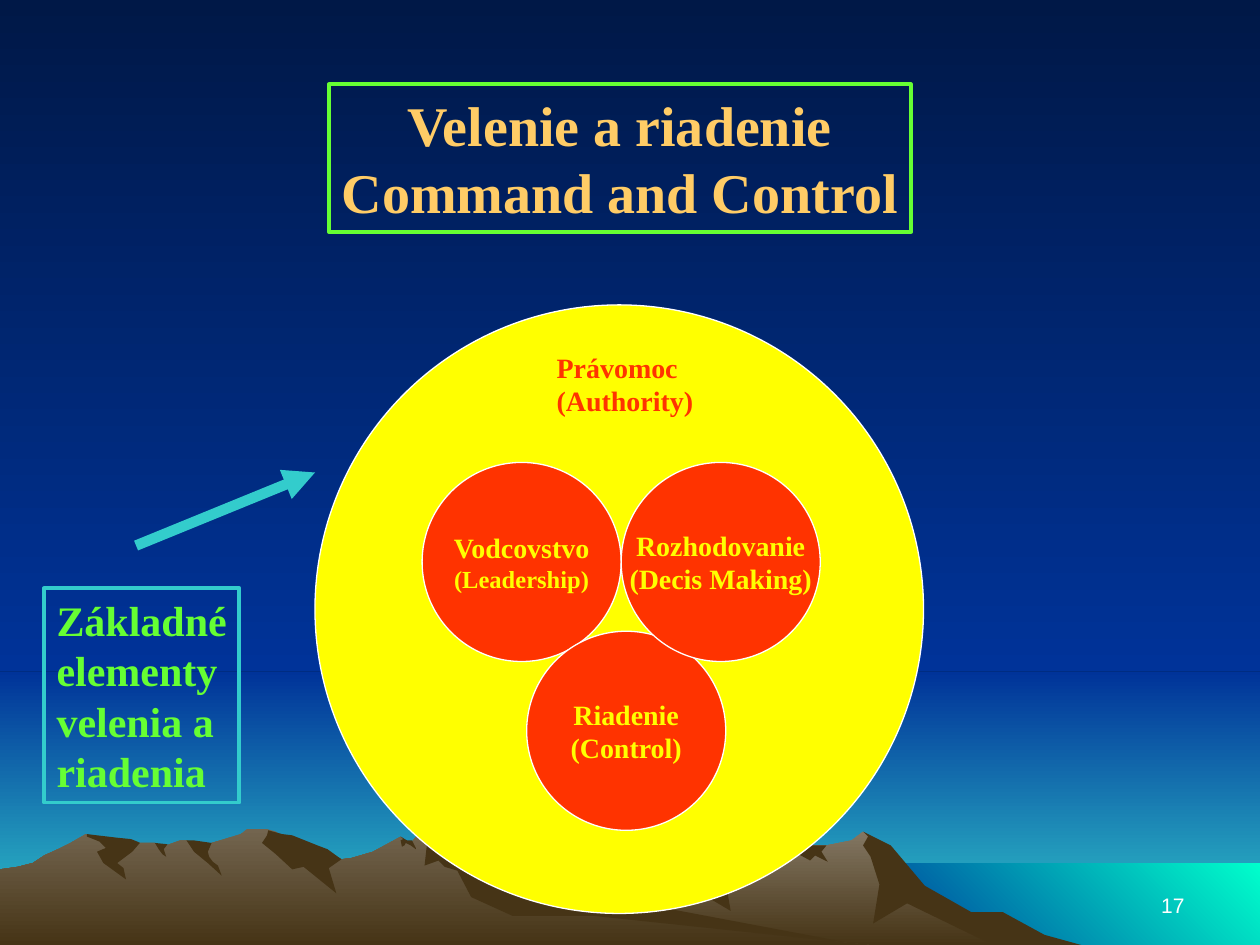
from lxml import etree
from pptx import Presentation
from pptx import util as u
from pptx.dml.color import RGBColor
from pptx.enum import shapes, text
from pptx.oxml import ns

PX = 9144
WIDTH, HEIGHT = 1000, 750
SERIF, SANS = "Times New Roman", "Arial"

NIGHT = RGBColor(0x00, 0x18, 0x47)
BLUE = RGBColor(0x00, 0x33, 0x99)
TEAL = RGBColor(0x33, 0xCC, 0xCC)
AQUA = RGBColor(0x00, 0xFF, 0xCC)
STONE = RGBColor(0x84, 0x78, 0x64)
EARTH = RGBColor(0x73, 0x65, 0x4F)
BROWN = RGBColor(0x46, 0x34, 0x16)
GOLD = RGBColor(0xFF, 0xCC, 0x66)
GREEN = RGBColor(0x66, 0xFF, 0x33)
YELLOW = RGBColor(0xFF, 0xFF, 0x00)
RED = RGBColor(0xFF, 0x33, 0x00)
WHITE = RGBColor(0xFF, 0xFF, 0xFF)

LEFT, CENTER, RIGHT = text.PP_ALIGN.LEFT, text.PP_ALIGN.CENTER, text.PP_ALIGN.RIGHT
TOP, MIDDLE, BOTTOM = text.MSO_ANCHOR.TOP, text.MSO_ANCHOR.MIDDLE, text.MSO_ANCHOR.BOTTOM

RIGHT_HILL = [
    (802, 740), (778, 727), (764, 723), (723, 698), (702, 671), (685, 660), (676, 667),
    (656, 671), (629, 671), (613, 681), (566, 697), (536, 690), (529, 676), (526, 673),
    (509, 669), (497, 671), (486, 673), (474, 661), (471, 658), (465, 658), (450, 664),
    (438, 671), (430, 671), (418, 675), (394, 685), (355, 698), (327, 709), (277, 739),
    (258, 750), (821, 750)]
RIGHT_SHADES = [
    [(796, 724), (771, 724), (734, 703), (707, 671), (685, 660), (689, 664), (685, 671),
     (691, 680), (698, 702), (693, 733), (720, 717), (788, 750), (858, 750), (829, 742)],
    [(471, 658), (474, 662), (469, 664), (468, 671), (472, 680), (473, 690), (465, 727),
     (474, 704), (479, 700), (487, 683), (490, 682), (490, 676), (497, 671), (493, 670)],
    [(529, 676), (528, 678), (526, 683), (536, 697), (580, 723), (576, 700), (592, 689),
     (570, 692), (542, 685)],
    [(650, 671), (630, 671), (631, 675), (630, 676), (643, 683), (647, 679), (657, 684),
     (652, 676), (656, 671)],
    [(433, 677), (432, 673), (434, 671), (439, 670), (437, 673), (439, 679), (434, 684)]]
LEFT_RANGE = [
    (690, 750), (667, 748), (432, 712), (354, 665), (331, 663), (327, 668), (323, 668),
    (318, 664), (296, 676), (279, 681), (271, 682), (260, 676), (236, 681), (223, 663),
    (219, 660), (212, 658), (196, 658), (191, 662), (178, 666), (168, 669), (160, 671),
    (148, 667), (143, 667), (132, 671), (128, 671), (123, 669), (111, 669), (94, 671),
    (68, 662), (56, 669), (46, 674), (35, 679), (26, 685), (14, 688), (0, 690), (0, 750)]
LEFT_SHADES = [
    [(212, 663), (208, 669), (219, 678), (232, 690), (241, 688), (267, 709), (261, 689),
     (271, 682), (260, 674), (252, 671), (232, 663), (224, 662), (213, 659)],
    [(370, 668), (361, 666), (354, 665), (344, 665), (339, 669), (337, 687), (348, 683),
     (353, 688), (363, 691), (374, 712), (407, 727), (472, 727), (690, 750), (683, 750),
     (455, 707), (427, 692), (411, 684), (401, 681), (386, 675)],
    [(318, 667), (320, 666), (318, 664), (323, 667), (327, 667), (330, 673), (330, 674),
     (326, 671), (322, 669), (321, 671), (319, 672)],
    [(154, 667), (161, 668), (168, 669), (165, 676), (166, 680), (169, 684), (173, 687),
     (176, 695), (165, 685), (154, 676), (148, 667)],
    [(133, 670), (130, 674), (132, 680), (129, 678), (126, 674), (123, 669)],
    [(109, 668), (111, 669), (105, 676), (93, 685), (98, 689), (100, 698), (82, 685),
     (77, 676), (84, 673), (79, 668), (69, 664), (69, 662), (77, 663), (94, 665),
     (104, 666)]]


def blend(fill, start, end, angle=270):
    """Fill with a two-colour gradient."""
    fill.gradient()
    fill.gradient_angle = angle
    for stop, color in zip(fill.gradient_stops, (start, end)):
        stop.color.rgb = color


def place(shape, box):
    """Move a shape to a box of left, top, width and height in px."""
    shape.left, shape.top, shape.width, shape.height = (n * PX for n in box)


def preset(page, kind, box):
    """Add a preset shape without shadow."""
    shape = page.shapes.add_shape(kind, *(n * PX for n in box))
    shape.shadow.inherit = False
    return shape


def outline(shape, color, points):
    """Give a shape a plain line."""
    shape.line.color.rgb = color
    shape.line.width = u.Pt(points)


def write(shape, lines, color, align=LEFT, anchor=TOP, font=SERIF, bold=True, wrap=False):
    """Write (words, size) lines as paragraphs of a shape."""
    frame = shape.text_frame
    frame.word_wrap = wrap
    frame.auto_size = text.MSO_AUTO_SIZE.NONE
    frame.vertical_anchor = anchor
    for index, (words, size) in enumerate(lines):
        para = frame.add_paragraph() if index else frame.paragraphs[0]
        para.alignment = align
        span = para.add_run()
        span.text = words
        span.font.name, span.font.size, span.font.bold = font, u.Pt(size), bold
        span.font.color.rgb = color


def label(page, box, *args, **kwargs):
    """Add a text box with its lines."""
    write(page.shapes.add_textbox(*(n * PX for n in box)), *args, **kwargs)


def outcrop(page, points, start, end):
    """Draw one rock outline, shaded from start to end."""
    builder = page.shapes.build_freeform(*points[0], scale=PX)
    builder.add_line_segments(points[1:])
    rock = builder.convert_to_shape()
    rock.shadow.inherit = False
    rock.line.fill.background()
    if start == end:
        rock.fill.solid()
        rock.fill.fore_color.rgb = start
    else:
        blend(rock.fill, start, end)


def scenery(page, horizon, shore):
    """Paint sky, haze, sea and mountains."""
    blend(page.background.fill, NIGHT, BLUE)
    left, top = shore
    bands = [((0, horizon, WIDTH, HEIGHT - horizon), BLUE, TEAL, 270),
             ((0, 0, WIDTH, horizon), NIGHT, BLUE, 270),
             ((left, top, WIDTH - left, HEIGHT - top), BLUE, AQUA, 45)]
    for box, start, end, angle in bands:
        band = preset(page, shapes.MSO_SHAPE.RECTANGLE, box)
        band.line.fill.background()
        blend(band.fill, start, end, angle)
    for hill, top_color, shades in ((RIGHT_HILL, STONE, RIGHT_SHADES),
                                    (LEFT_RANGE, EARTH, LEFT_SHADES)):
        outcrop(page, hill, top_color, BROWN)
        for shade in shades:
            outcrop(page, shade, BROWN, BROWN)


def heading(page, box):
    """Place the framed title."""
    title = page.shapes.title
    place(title, box)
    outline(title, GREEN, 2.25)
    write(title, [("Velenie a riadenie", 32), ("Command and Control", 32)], GOLD, CENTER)


def disc(page, box, color):
    """Add a filled circle with a thin white line."""
    circle = preset(page, shapes.MSO_SHAPE.OVAL, box)
    circle.fill.solid()
    circle.fill.fore_color.rgb = color
    outline(circle, WHITE, 0.75)
    return circle


def authority(page, box):
    """Draw the authority circle and the three elements inside it."""
    left, top, _, _ = box
    disc(page, box, YELLOW)
    size = 158
    elements = [(85, 125, [("Vodcovstvo", 16), ("(Leadership)", 14)]),
                (168, 259, [("Riadenie", 16), ("(Control)", 16)]),
                (85 + size, 125, [("Rozhodovanie", 16), ("(Decis Making)", 16)])]
    for x, y, lines in elements:
        circle = disc(page, (left + x, top + y, size, size), RED)
        write(circle, lines, YELLOW, CENTER, MIDDLE)
    label(page, (left + 182, top + 31, 128, 64),
          [("Právomoc", 16), ("(Authority)", 16)], RED)


def callout(page, box):
    """Place the framed caption and its arrow to the circle."""
    left, top, _, _ = box
    frame = preset(page, shapes.MSO_SHAPE.RECTANGLE, box)
    frame.fill.background()
    outline(frame, TEAL, 2.25)
    words = ("Základné", "elementy", "velenia a", "riadenia")
    write(frame, [(word, 24) for word in words], GREEN)
    ends = (left + 73, top - 34, left + 215, top - 92)
    arrow = page.shapes.add_connector(shapes.MSO_CONNECTOR.STRAIGHT, *(n * PX for n in ends))
    outline(arrow, TEAL, 6)
    etree.SubElement(arrow.line._get_or_add_ln(), ns.qn("a:tailEnd"), type="triangle")
    etree.SubElement(arrow._element.spPr, ns.qn("a:effectLst"))


def main():
    """Build the slide and save it."""
    deck = Presentation()
    deck.slide_width, deck.slide_height = WIDTH * PX, HEIGHT * PX
    page = deck.slides.add_slide(deck.slide_layouts[5])
    scenery(page, 533, (683, 685))
    heading(page, (261, 67, 462, 117))
    tree = page.shapes.title._element.getparent()
    tree.append(page.shapes.title._element)
    authority(page, (250, 242, 483, 483))
    callout(page, (35, 467, 155, 170))
    label(page, (717, 683, 233, 50), [("17", 12)], WHITE, RIGHT, BOTTOM, SANS, False, True)
    deck.save("out.pptx")


if __name__ == "__main__":
    main()
